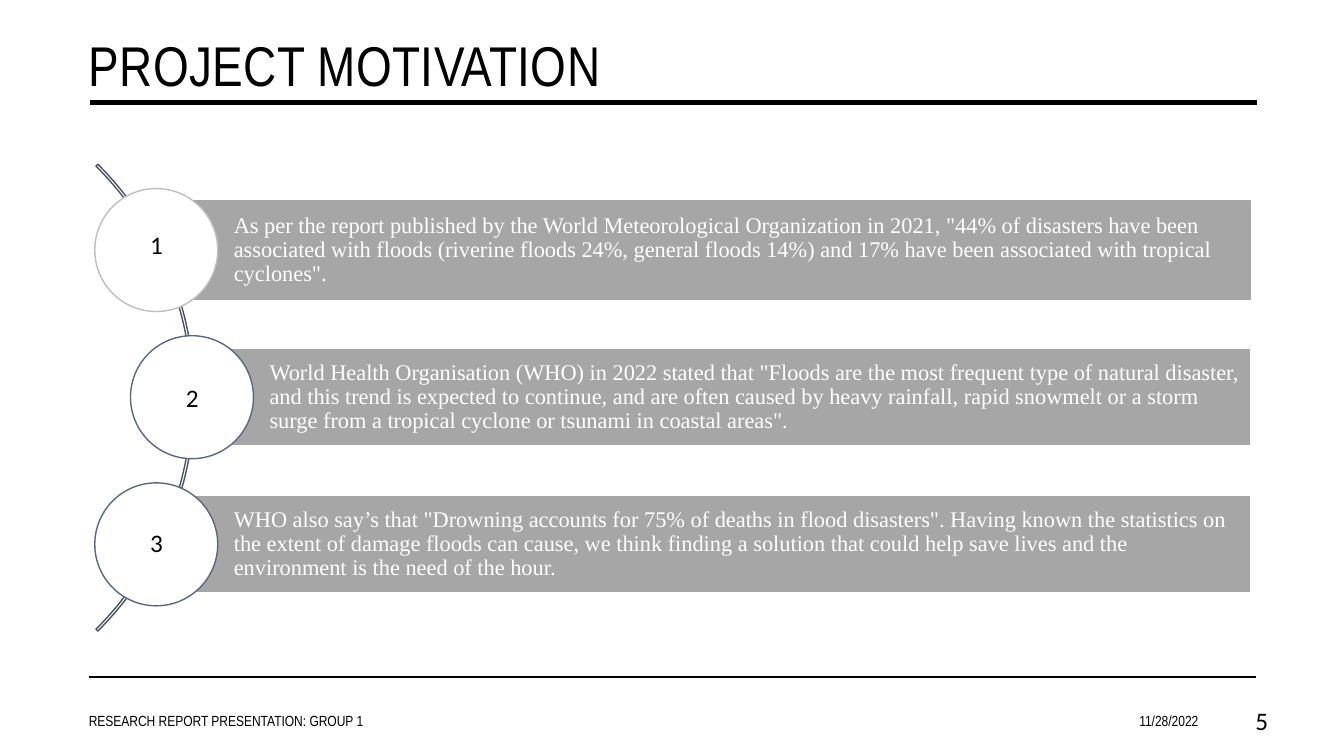
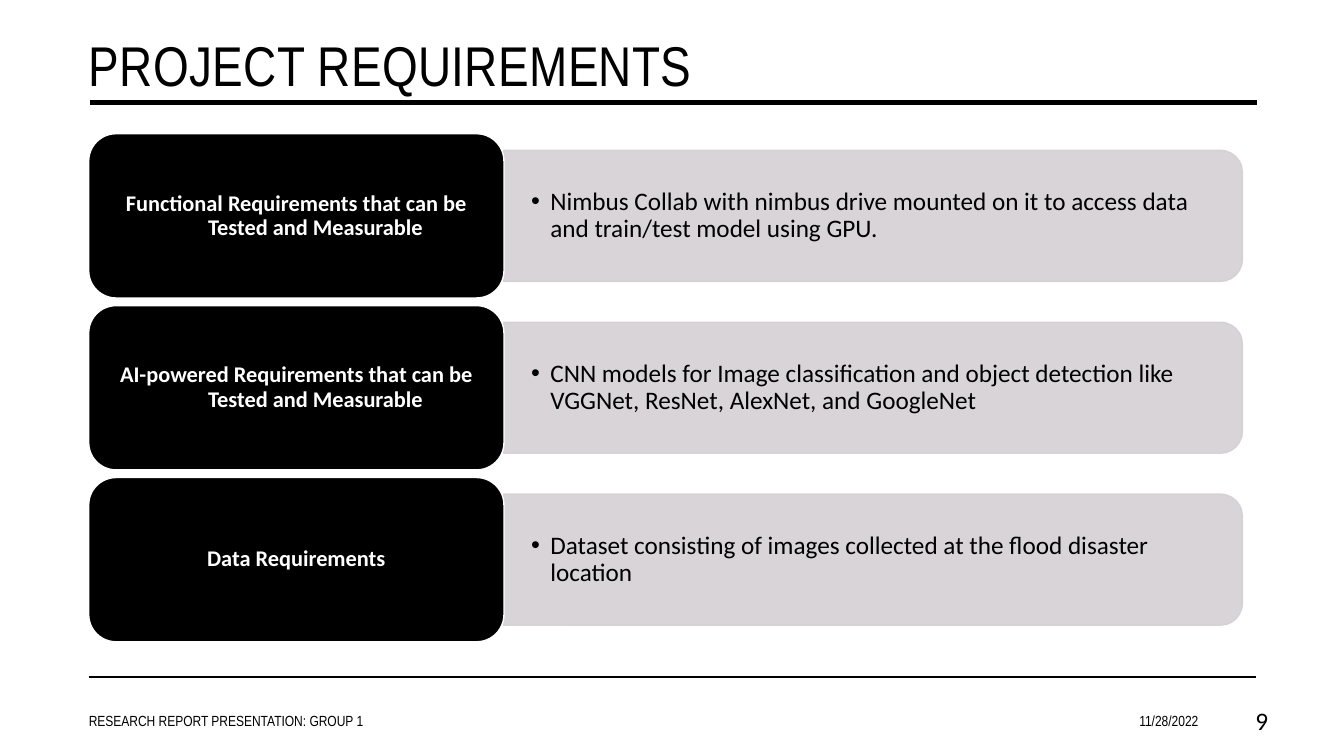
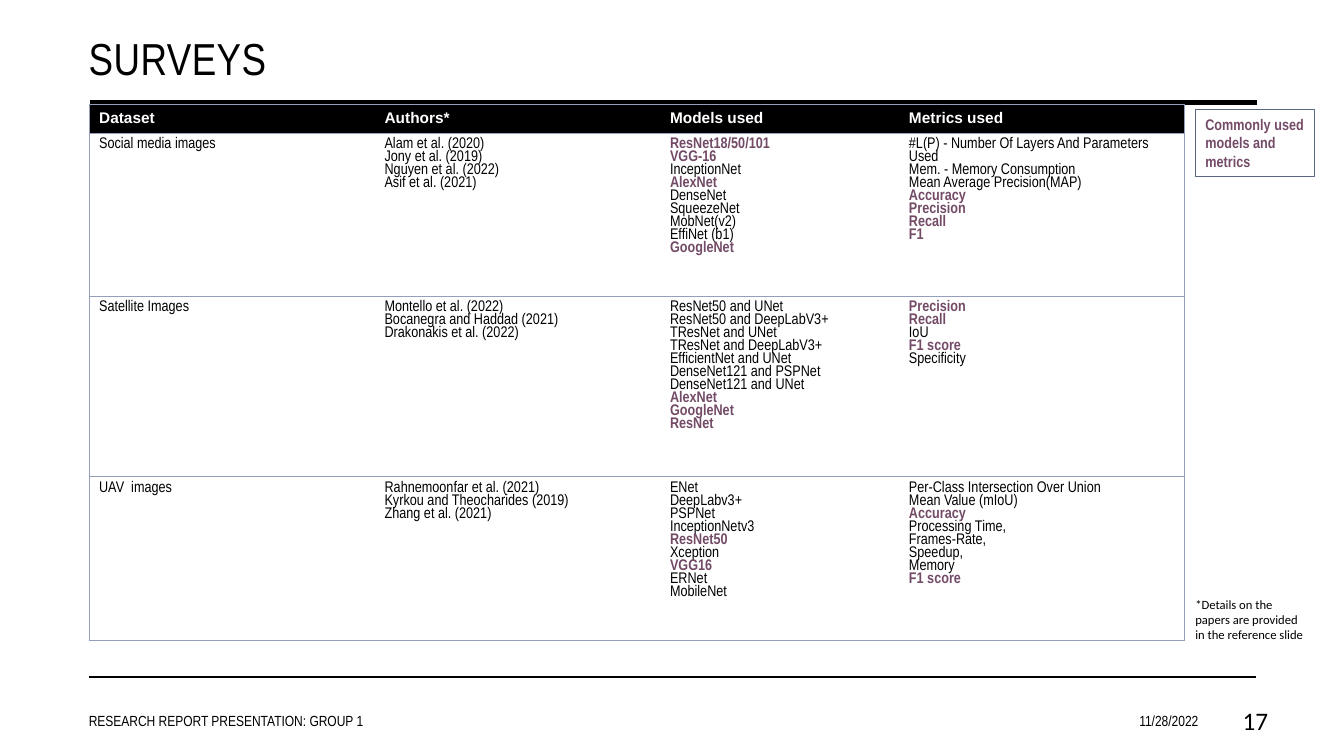
from dataclasses import dataclass

from lxml import etree
from pptx import Presentation
from pptx.dml.color import RGBColor
from pptx.enum import shapes, text
from pptx.oxml import ns
from pptx.util import Pt

BLACK = RGBColor(0x00, 0x00, 0x00)
WHITE = RGBColor(0xFF, 0xFF, 0xFF)
BAR_GREY = RGBColor(0xA6, 0xA6, 0xA6)
RING_GREY = RGBColor(0xBF, 0xBF, 0xBF)
SLATE = RGBColor(0x59, 0x67, 0x81)
ARC_SLATE = RGBColor(0x47, 0x52, 0x67)
PANEL_GREY = RGBColor(0xD5, 0xD0, 0xD3)
BORDER_BLUE = RGBColor(0x95, 0x9E, 0xBB)
PLUM = RGBColor(0x73, 0x4B, 0x67)

LEFT, CENTER, RIGHT = text.PP_ALIGN.LEFT, text.PP_ALIGN.CENTER, text.PP_ALIGN.RIGHT
TOP, MIDDLE = text.MSO_ANCHOR.TOP, text.MSO_ANCHOR.MIDDLE
PRESET = shapes.MSO_SHAPE


@dataclass(frozen=True)
class Style:
    font: str
    size: float
    color: RGBColor = BLACK
    bold: bool = False
    align: int = LEFT
    spacing: float = 1.0
    hanging: float = 0
    bullet: str = ""


@dataclass(frozen=True)
class Frame:
    left: float
    top: float
    width: float
    height: float


@dataclass(frozen=True)
class Reason:
    number: str
    number_top: float
    circle_left: float
    bar_line: RGBColor
    circle_line: RGBColor
    words: str


@dataclass(frozen=True)
class Requirement:
    name: str
    detail: str


FOOTER = Style("Arial Narrow", 10.5)
DATE = Style("Arial Narrow", 10.5, align=RIGHT)
PAGE_NUMBER = Style("Calibri", 18, align=RIGHT)
NUMBER = Style("Calibri", 18)
REASON = Style("Times New Roman", 16, WHITE, spacing=0.9)
NAME = Style("Calibri", 16, WHITE, True, CENTER, 0.9, 27.36)
DETAIL = Style("Calibri", 18, spacing=0.9, hanging=13.68, bullet="•")
HEADER = Style("Arial", 11, WHITE, True)
ENTRY = Style("Arial Narrow", 11, spacing=0.9)
KEY_ENTRY = Style("Arial Narrow", 11, PLUM, True, spacing=0.9)
LEGEND = Style("Arial Narrow", 11, PLUM, True)
FOOTNOTE = Style("Calibri", 9)

DEFAULT_INSETS = (7.2, 3.6, 7.2, 3.6)

REASONS = (
    Reason("1", 160.56, 67.68, BAR_GREY, RING_GREY,
           'As per the report published by the World Meteorological Organization in 2021, "44% of '
           'disasters have been associated with floods (riverine floods 24%, general floods 14%) '
           'and 17% have been associated with tropical cyclones".'),
    Reason("2", 269.28, 93.2, WHITE, SLATE,
           'World Health Organisation (WHO) in 2022 stated that "Floods are the most frequent type '
           'of natural disaster, and this trend is expected to continue, and are often caused by '
           'heavy rainfall, rapid snowmelt or a storm surge from a tropical cyclone or tsunami in '
           'coastal areas".'),
    Reason("3", 372.96, 67.68, WHITE, SLATE,
           'WHO also say’s that "Drowning accounts for 75% of deaths in flood disasters". Having '
           'known the statistics on the extent of damage floods can cause, we think finding a '
           'solution that could help save lives and the environment is the need of the hour.'),
)

REQUIREMENTS = (
    Requirement("Functional Requirements that can be Tested and Measurable",
                "Nimbus Collab with nimbus drive mounted on it to access data and train/test "
                "model using GPU."),
    Requirement("AI-powered Requirements that can be Tested and Measurable",
                "CNN models for Image classification and object detection like VGGNet, ResNet, "
                "AlexNet, and GoogleNet"),
    Requirement("Data Requirements",
                "Dataset consisting of images collected at the flood disaster location"),
)

SURVEY_HEADER = ("Dataset", "Authors*", "Models used", "Metrics used")
SURVEY_ROWS = (
    (("Social media images",),
     ("Alam et al. (2020)", "Jony et al. (2019)", "Nguyen et al. (2022)", "Asif et al. (2021)"),
     ("ResNet18/50/101", "VGG-16", "InceptionNet", "AlexNet", "DenseNet", "SqueezeNet",
      "MobNet(v2)", "EffiNet (b1)", "GoogleNet"),
     ("#L(P) - Number Of Layers And Parameters Used", "Mem. - Memory Consumption",
      "Mean Average Precision(MAP)", "Accuracy", "Precision", "Recall", "F1")),
    (("Satellite Images",),
     ("Montello et al. (2022)", "Bocanegra and Haddad (2021)", "Drakonakis et al. (2022)"),
     ("ResNet50 and UNet", "ResNet50 and DeepLabV3+", "TResNet and UNet",
      "TResNet and DeepLabV3+", "EfficientNet and UNet", "DenseNet121 and PSPNet",
      "DenseNet121 and UNet", "AlexNet", "GoogleNet", "ResNet"),
     ("Precision", "Recall", "IoU", "F1 score", "Specificity")),
    (("UAV  images",),
     ("Rahnemoonfar et al. (2021)", "Kyrkou and Theocharides (2019)", "Zhang et al. (2021)"),
     ("ENet", "DeepLabv3+", "PSPNet", "InceptionNetv3", "ResNet50", "Xception", "VGG16",
      "ERNet", "MobileNet"),
     ("Per-Class Intersection Over Union", "Mean Value (mIoU)", "Accuracy",
      "Processing Time,", "Frames-Rate,", "Speedup,", "Memory", "F1 score")),
)
KEY_TERMS = {"ResNet18/50/101", "VGG-16", "AlexNet", "GoogleNet", "ResNet", "ResNet50", "VGG16",
             "Accuracy", "Precision", "Recall", "F1", "F1 score"}
COLUMN_WIDTHS = (203.9, 203.9, 170.7, 203.9)
ROW_HEIGHTS = (18, 116.64, 128.88, 116.64)


def write(para, words: str, style: Style) -> None:
    para.text = words
    para.alignment = style.align
    para.line_spacing = style.spacing
    properties = para._p.get_or_add_pPr()
    if style.hanging:
        properties.set("marL", str(Pt(style.hanging)))
        properties.set("indent", str(-Pt(style.hanging)))
    if style.bullet:
        etree.SubElement(properties, ns.qn("a:buFont"), typeface="Arial")
        etree.SubElement(properties, ns.qn("a:buChar"), char=style.bullet)
    for span in para.runs:
        span.font.name = style.font
        span.font.size = Pt(style.size)
        span.font.bold = style.bold
        span.font.color.rgb = style.color


def fill_text(box, words: str, style: Style, anchor=TOP, insets=DEFAULT_INSETS) -> None:
    frame = box.text_frame
    frame.word_wrap = True
    frame.vertical_anchor = anchor
    frame.margin_left, frame.margin_top, frame.margin_right, frame.margin_bottom = map(Pt, insets)
    write(frame.paragraphs[0], words, style)


def add_text(page, area: Frame, words: str, style: Style, anchor=TOP, insets=DEFAULT_INSETS):
    box = page.shapes.add_textbox(Pt(area.left), Pt(area.top), Pt(area.width), Pt(area.height))
    fill_text(box, words, style, anchor, insets)
    return box


def add_outline(page, preset, area: Frame, fill, line: RGBColor, weight: float = 1):
    box = page.shapes.add_shape(preset, Pt(area.left), Pt(area.top), Pt(area.width),
                                Pt(area.height))
    box.shadow.inherit = False
    if fill is None:
        box.fill.background()
    else:
        box.fill.solid()
        box.fill.fore_color.rgb = fill
    box.line.color.rgb = line
    box.line.width = Pt(weight)
    return box


def add_rule(page, left: float, right: float, top: float, weight: float) -> None:
    rule = page.shapes.add_connector(shapes.MSO_CONNECTOR.STRAIGHT, Pt(left), Pt(top),
                                     Pt(right), Pt(top))
    rule.line.color.rgb = BLACK
    rule.line.width = Pt(weight)
    etree.SubElement(rule.element.spPr, ns.qn("a:effectLst"))


def add_page(deck, title: str, number: str, size: float = 40, width: float = 841.68):
    page = deck.slides.add_slide(deck.slide_layouts[5])
    heading = page.shapes.title
    heading.left, heading.top, heading.width, heading.height = map(Pt, (56.16, 18, width, 52.56))
    heading.text_frame.auto_size = text.MSO_AUTO_SIZE.NONE
    fill_text(heading, title, Style("Arial Narrow", size))
    for span in heading.text_frame.paragraphs[0].runs:
        span._r.get_or_add_rPr().set("spc", "30")
    add_rule(page, 64.08, 898.2, 73.44, 3.5)
    add_rule(page, 63.36, 897.12, 483.5, 1.25)
    for left, wide, words, style in (
            (56.4, 357.12, "RESEARCH REPORT PRESENTATION: GROUP 1", FOOTER),
            (658.6, 204.48, "11/28/2022", DATE),
            (859.68, 53.28, number, PAGE_NUMBER)):
        add_text(page, Frame(left, 500.4, wide, 28.8), words, style, MIDDLE)
    return page


def build_motivation(deck) -> None:
    page = add_page(deck, "PROJECT MOTIVATION", "5")
    arc = add_outline(page, PRESET.BLOCK_ARC, Frame(-332.64, 48.24, 471.6, 471.6), None, ARC_SLATE)
    for index, value in enumerate((189, 27, 0.004)):
        arc.adjustments[index] = value
    diameter, bar_height, bar_right = 87.84, 69.84, 893.3
    for index, reason in enumerate(REASONS):
        middle = 178.6 + 105.1 * index
        bar_left = reason.circle_left + diameter / 2
        bar = add_outline(page, PRESET.RECTANGLE,
                          Frame(bar_left, middle - bar_height / 2, bar_right - bar_left, bar_height),
                          BAR_GREY, reason.bar_line)
        fill_text(bar, reason.words, REASON, MIDDLE, (55.44, 2.88, 4.5, 2.88))
        add_outline(page, PRESET.OVAL,
                    Frame(reason.circle_left, middle - diameter / 2, diameter, diameter),
                    WHITE, reason.circle_line)
        add_text(page, Frame(reason.circle_left + 32.4, reason.number_top, 28.08, 28.8),
                 reason.number, NUMBER)


def build_requirements(deck) -> None:
    page = add_page(deck, "PROJECT REQUIREMENTS", "9")
    thickness, length, name_height, detail_height = 93.6, 527.76, 117.36, 84.24
    for index, requirement in enumerate(REQUIREMENTS):
        middle = 154.2 + 122.8 * index
        panel = add_outline(page, PRESET.ROUND_2_SAME_RECTANGLE,
                            Frame(576.72, middle - length / 2, thickness, length),
                            PANEL_GREY, PANEL_GREY)
        panel.rotation = 90
        for color in panel.element.spPr.iter(ns.qn("a:srgbClr")):
            etree.SubElement(color, ns.qn("a:alpha"), val="90000")
        add_text(page, Frame(360, middle - detail_height / 2, 522.72, detail_height),
                 requirement.detail, DETAIL, MIDDLE, (19.44, 10.08, 19.44, 10.08))
        name = add_outline(page, PRESET.ROUNDED_RECTANGLE,
                           Frame(63.36, middle - name_height / 2, 296.64, name_height),
                           BLACK, WHITE)
        fill_text(name, requirement.name, NAME, MIDDLE, (5.04, 2.16, 5.04, 2.16))


def set_borders(cell, first: bool, last: bool) -> None:
    properties = cell._tc.get_or_add_tcPr()
    for side, shown in (("L", first), ("R", last), ("T", True), ("B", True)):
        line = etree.SubElement(properties, ns.qn(f"a:ln{side}"), w=str(Pt(0.5)))
        if shown:
            fill = etree.SubElement(line, ns.qn("a:solidFill"))
            etree.SubElement(fill, ns.qn("a:srgbClr"), val=str(BORDER_BLUE))
        else:
            etree.SubElement(line, ns.qn("a:noFill"))


def build_surveys(deck) -> None:
    page = add_page(deck, "SURVEYS", "17", 32, 714.24)
    table = page.shapes.add_table(len(ROW_HEIGHTS), len(COLUMN_WIDTHS), Pt(63.6), Pt(74.5),
                                  Pt(sum(COLUMN_WIDTHS)), Pt(sum(ROW_HEIGHTS))).table
    table.horz_banding = False
    for column, width in zip(table.columns, COLUMN_WIDTHS):
        column.width = Pt(width)
    for row, height in zip(table.rows, ROW_HEIGHTS):
        row.height = Pt(height)
    contents = (tuple((label,) for label in SURVEY_HEADER),) + SURVEY_ROWS
    for row_index, row in enumerate(contents):
        for column_index, lines in enumerate(row):
            cell = table.cell(row_index, column_index)
            set_borders(cell, column_index == 0, column_index == len(row) - 1)
            if row_index == 0:
                cell.fill.solid()
                cell.fill.fore_color.rgb = BLACK
            else:
                cell.fill.background()
            cell.text_frame.text = "\n".join(lines)
            for para, line in zip(cell.text_frame.paragraphs, lines):
                entry = KEY_ENTRY if line in KEY_TERMS else ENTRY
                write(para, line, HEADER if row_index == 0 else entry)
    legend = add_outline(page, PRESET.RECTANGLE, Frame(853.92, 78.48, 84.96, 47.52), None, SLATE,
                         0.75)
    fill_text(legend, "Commonly used models and metrics", LEGEND)
    add_text(page, Frame(846.72, 422.64, 92.16, 51.12),
             "*Details on the papers are provided in the reference slide", FOOTNOTE)


def main() -> None:
    deck = Presentation()
    deck.slide_width, deck.slide_height = Pt(960), Pt(540)
    build_motivation(deck)
    build_requirements(deck)
    build_surveys(deck)
    deck.save("out.pptx")


if __name__ == "__main__":
    main()
